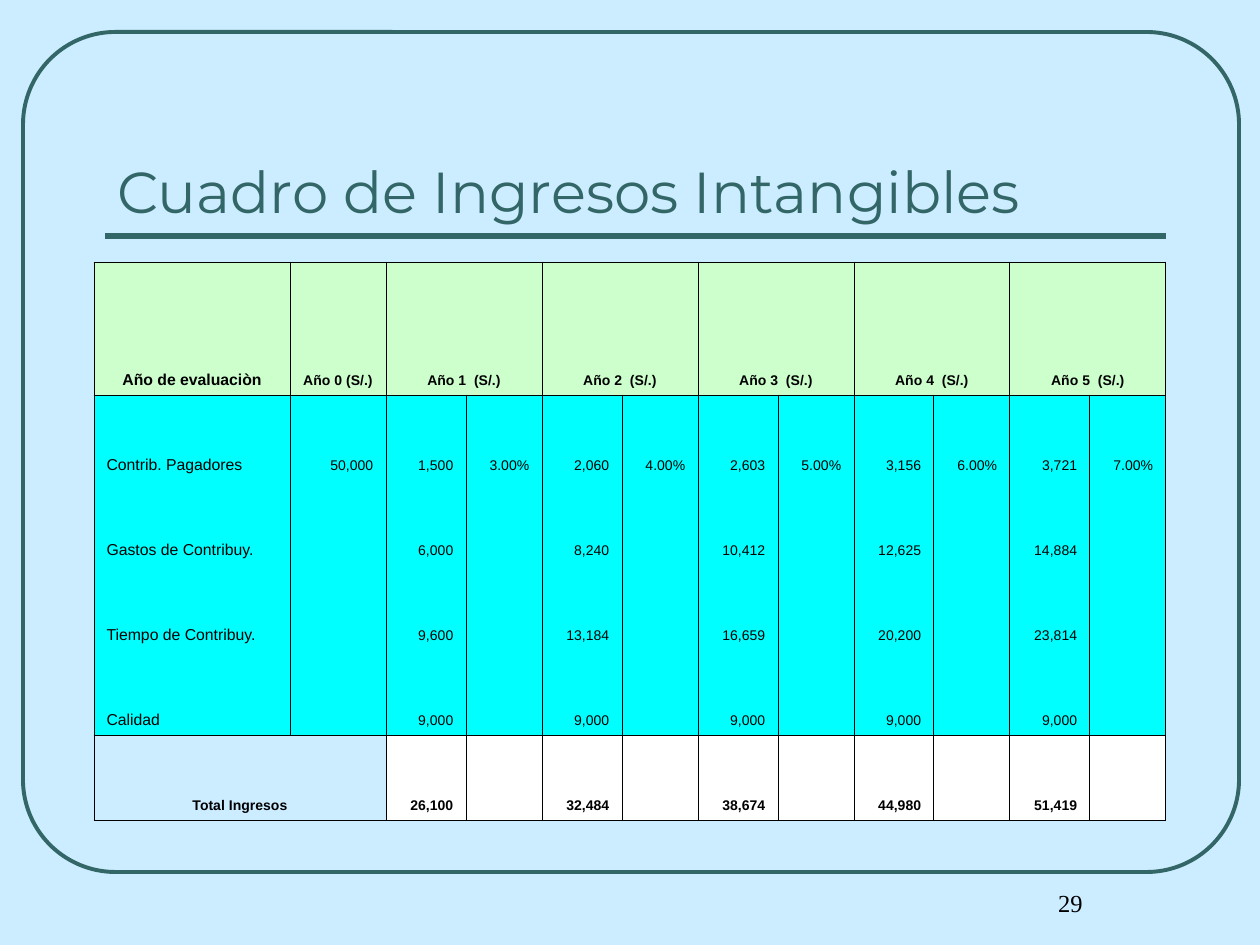
import pptx
import pptx.util
import pptx.dml.color
import pptx.enum.shapes
import pptx.enum.text
import pptx.oxml.ns
import lxml.etree

SCALE = pptx.util.Inches(1) / 126
RGB = pptx.dml.color.RGBColor
SKY = RGB(0xCC, 0xEC, 0xFF)
TEAL = RGB(0x33, 0x66, 0x66)
GREEN = RGB(0xCC, 0xFF, 0xCC)
CYAN = RGB(0x00, 0xFF, 0xFF)
WHITE = RGB(0xFF, 0xFF, 0xFF)
BLACK = RGB(0x00, 0x00, 0x00)

ALIGN = pptx.enum.text.PP_ALIGN
ANCHOR = pptx.enum.text.MSO_ANCHOR
qn = pptx.oxml.ns.qn


def px(*nums):
    return [round(num * SCALE) for num in nums]


def style(para, name, size, color, align=ALIGN.LEFT, bold=False):
    para.alignment = align
    for run in para.runs:
        run.font.name = name
        run.font.size = pptx.util.Pt(size)
        run.font.bold = bold
        run.font.color.rgb = color


deck = pptx.Presentation()
deck.slide_width, deck.slide_height = px(1260, 945)
slide = deck.slides.add_slide(deck.slide_layouts[6])
slide.background.fill.solid()
slide.background.fill.fore_color.rgb = SKY

# Frame and title rule
frame = slide.shapes.add_shape(
    pptx.enum.shapes.MSO_SHAPE.ROUNDED_RECTANGLE, *px(23, 32, 1216, 840))
frame.adjustments[0] = 0.11
frame.shadow.inherit = False
frame.fill.background()
frame.line.color.rgb = TEAL
frame.line.width = pptx.util.Pt(2.25)

rule = slide.shapes.add_connector(
    pptx.enum.shapes.MSO_CONNECTOR.STRAIGHT, *px(105, 236, 1166, 236))
rule.line.color.rgb = TEAL
rule.line.width = pptx.util.Pt(3)
lxml.etree.SubElement(rule._element.spPr, qn("a:effectLst"))

# Title and page number
title = slide.shapes.add_textbox(*px(105, 73, 1061, 158)).text_frame
title.word_wrap = True
title.vertical_anchor = ANCHOR.BOTTOM
title.text = "Cuadro de Ingresos Intangibles"
style(title.paragraphs[0], "Montserrat", 33, TEAL)

page = slide.shapes.add_textbox(*px(945, 882, 220, 63)).text_frame
page.word_wrap = True
page.margin_left = px(43)[0]
page.text = "29"
style(page.paragraphs[0], "Times New Roman", 14, BLACK, ALIGN.CENTER)

# Table: a label, year 0, then an amount and a rate for each of five years
YEARS = 5
rates = ["3.00%", "4.00%", "5.00%", "6.00%", "7.00%"]
items = [
    ("Contrib. Pagadores", "50,000", ["1,500", "2,060", "2,603", "3,156", "3,721"], rates),
    ("Gastos de Contribuy.", "", ["6,000", "8,240", "10,412", "12,625", "14,884"], None),
    ("Tiempo de Contribuy.", "", ["9,600", "13,184", "16,659", "20,200", "23,814"], None),
    ("Calidad", "", ["9,000"] * YEARS, None),
    ("Total Ingresos", "", ["26,100", "32,484", "38,674", "44,980", "51,419"], None),
]
rows = [["Año de evaluaciòn", "Año 0 (S/.)"]]
for year in range(1, YEARS + 1):
    rows[0] += [f"Año {year}  (S/.)", ""]
for label, start, sums, shares in items:
    row = [label, start]
    for pair in zip(sums, shares or [""] * YEARS):
        row += pair
    rows.append(row)

widths = [196, 96] + [80, 76] * YEARS
heights = [133] + [85] * len(items)
last = len(items)
table = slide.shapes.add_table(
    len(rows), len(widths), *px(94, 262, sum(widths), sum(heights))).table
table.first_row = False
table.horz_banding = False
for col, width in zip(table.columns, px(*widths)):
    col.width = width
for row, height in zip(table.rows, px(*heights)):
    row.height = height
for left in range(2, len(widths), 2):
    table.cell(0, left).merge(table.cell(0, left + 1))
table.cell(last, 0).merge(table.cell(last, 1))

for r, row in enumerate(rows):
    outer = r in (0, last)
    for c, text in enumerate(row):
        cell = table.cell(r, c)
        cell.vertical_anchor = ANCHOR.BOTTOM

        # Item rows share one box, with no lines between them
        props = cell._tc.get_or_add_tcPr()
        edges = {"lnL": True, "lnR": True,
                 "lnT": outer or r == 1, "lnB": outer or r == last - 1}
        for tag, drawn in edges.items():
            line = lxml.etree.SubElement(props, qn("a:" + tag), w="5715")
            if drawn:
                fill = lxml.etree.SubElement(line, qn("a:solidFill"))
                lxml.etree.SubElement(fill, qn("a:srgbClr"), val=str(BLACK))
            else:
                lxml.etree.SubElement(line, qn("a:noFill"))

        if r == last and c < 2:
            cell.fill.background()
        else:
            cell.fill.solid()
            cell.fill.fore_color.rgb = GREEN if r == 0 else WHITE if r == last else CYAN

        if text:
            cell.text_frame.text = text
            if r == 0 or (r == last and c == 0):
                align = ALIGN.CENTER
            else:
                align = ALIGN.RIGHT if c else ALIGN.LEFT
            size = 9 if c == 0 and r < last else 8
            style(cell.text_frame.paragraphs[0], "Arial", size, BLACK, align, outer)

deck.save("out.pptx")
